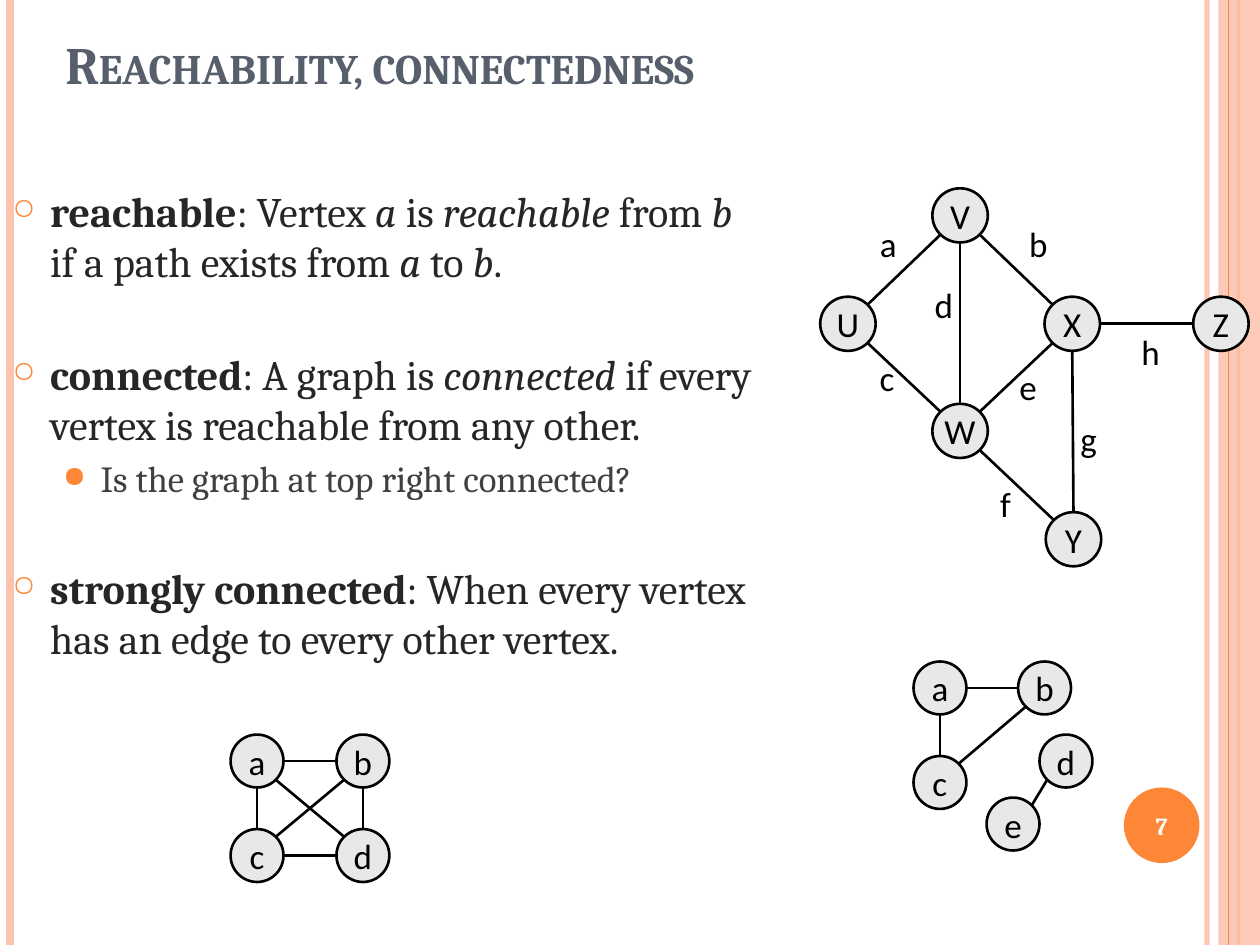
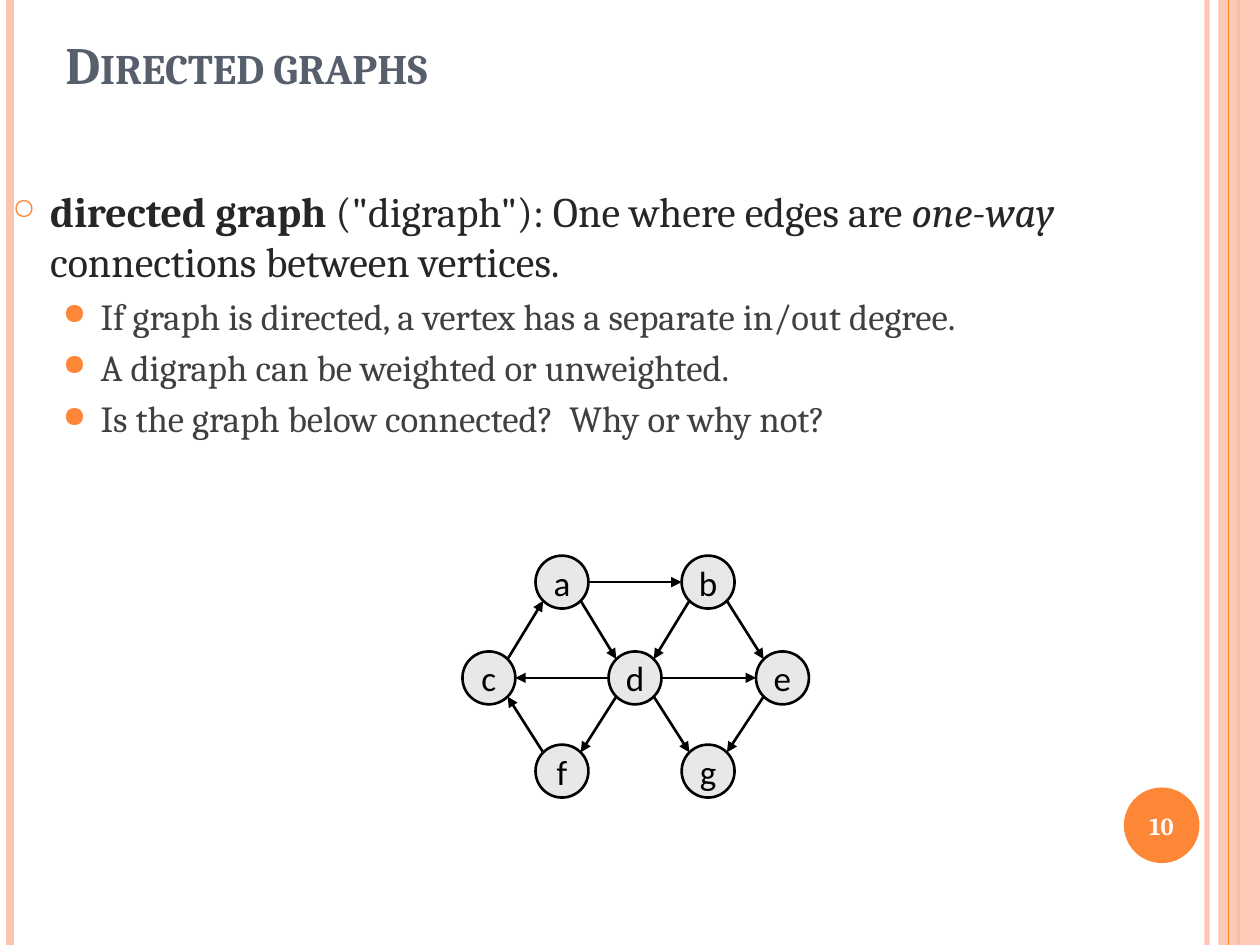
from pptx import Presentation
from pptx import util as u
from pptx.dml.color import RGBColor
from pptx.enum import shapes, text
from pptx.oxml import parse_xml
from pptx.oxml.ns import nsdecls, qn
from lxml import etree

COLORS = {"orange": "FE8637", "peach": "FEC3AE", "title": "575F6D",
          "body": "262626", "detail": "404040", "node": "E8E8E8",
          "black": "000000", "white": "FFFFFF"}
SERIF, SANS = "Cambria", "Calibri"
WIDTH, HEIGHT = 10, 7.5

BANDS = [(9.58, "peach", 3, 93), (0.08, "peach", 4.5, None), (9.83, "orange", 1.5, None)]
STRIPE_LINE = (9.75, "orange", 0.75, None)

LEVELS = [
    {"margin": 0.3, "size": 24, "color": "body", "before": 6, "char": "○", "percent": 70},
    {"margin": 0.7, "size": 21, "color": "detail", "before": 4.2, "char": "●", "percent": 80},
]
SECTION_GAP = 35.5

SLIDES = [
    {"title": "Reachability, connectedness", "number": 7,
     "body": [
         (0, None, [("reachable", "b"), (": Vertex ", ""), ("a", "i"), (" is ", ""),
                    ("reachable ", "i"), ("from ", ""), ("b\n", "i"),
                    ("if a path exists from ", ""), ("a", "i"), (" to ", ""),
                    ("b", "i"), (".", "")]),
         (0, SECTION_GAP, [("connected", "b"), (": A graph is ", ""), ("connected", "i"),
                           (" if every\nvertex is reachable from any other.", "")]),
         (1, None, [("Is the graph at top right connected?", "")]),
         (0, SECTION_GAP, [("strongly connected", "b"),
                           (": When every vertex\nhas an edge to every other vertex.", "")]),
     ],
     "graphs": [
         {"size": (0.44, 0.43), "grouped": True, "directed": False,
          "nodes": {"X": (8.51, 2.57), "U": (6.73, 2.57), "V": (7.62, 1.71),
                    "W": (7.62, 3.42), "Z": (9.69, 2.57), "Y": (8.52, 4.28)},
          "edges": "VU WU WX XZ VX VW WY XY",
          "labels": {"a": (7.05, 1.93), "c": (7.04, 3.0), "b": (8.24, 1.93),
                     "e": (8.16, 3.07), "d": (7.49, 2.42), "f": (7.98, 4.0),
                     "g": (8.64, 3.48), "h": (9.13, 2.79)}},
         {"size": (0.42, 0.42), "grouped": False, "directed": False,
          "nodes": {"a": (2.04, 6.04), "c": (2.04, 6.79),
                    "b": (2.88, 6.04), "d": (2.88, 6.79)},
          "edges": "ac cd db cb ad ab", "labels": {}},
         {"size": (0.42, 0.42), "grouped": True, "directed": False,
          "nodes": {"a": (7.46, 5.46), "c": (7.46, 6.21), "b": (8.29, 5.46),
                    "d": (8.46, 6.04), "e": (8.04, 6.54)},
          "edges": "ac ed cb ab", "labels": {}},
     ]},
    {"title": "Directed graphs", "number": 10,
     "body": [
         (0, None, [("directed graph ", "b"), ('("digraph"): One where edges are ', ""),
                    ("one-way", "i"), (" connections between vertices.", "")]),
         (1, None, [("If graph is directed, a vertex has a separate in/out degree.", "")]),
         (1, None, [("A digraph can be weighted or unweighted.", "")]),
         (1, None, [("Is the graph below connected?  Why or why not?", "")]),
     ],
     "graphs": [
         {"size": (0.42, 0.42), "grouped": True, "directed": True,
          "nodes": {"a": (4.46, 4.62), "d": (5.04, 5.38), "b": (5.62, 4.62),
                    "e": (6.21, 5.38), "g": (5.62, 6.12), "f": (4.46, 6.12),
                    "c": (3.88, 5.38)},
          "edges": "ca ab ad bd be de dg eg df fc dc", "labels": {}},
     ]},
]


def rgb(name):
    return RGBColor.from_string(COLORS[name])


def inches(*values):
    return [u.Inches(v) for v in values]


def set_alpha(fill_owner, percent):
    clr = next(fill_owner.iter(qn("a:srgbClr")))
    etree.SubElement(clr, qn("a:alpha")).set("val", str(percent * 1000))


def style_run(r, font, size, color, bold=False, italic=False):
    r.font.name, r.font.size = font, u.Pt(size)
    r.font.bold, r.font.italic = bold, italic
    r.font.color.rgb = rgb(color)


def add_line(parent, start, end, color="black", width=1.5, arrow=False):
    c = parent.add_connector(shapes.MSO_CONNECTOR.STRAIGHT, *inches(*start, *end))
    c.line.color.rgb, c.line.width = rgb(color), u.Pt(width)
    if arrow:
        etree.SubElement(c.line._get_or_add_ln(), qn("a:tailEnd")).set("type", "triangle")
    sp_pr = c._element.spPr
    etree.SubElement(sp_pr, qn("a:effectLst"))
    return c


def add_shape(parent, kind, box, fill, line=None):
    sp = parent.add_shape(kind, *inches(*box))
    sp.shadow.inherit = False
    sp.fill.solid()
    sp.fill.fore_color.rgb = rgb(fill)
    if line:
        sp.line.color.rgb, sp.line.width = rgb(line), u.Pt(1.5)
    else:
        sp.line.fill.background()
    return sp


def put_centred(sp, words, font, size, color, bold=False):
    tf = sp.text_frame
    tf.word_wrap = False
    tf.vertical_anchor = text.MSO_ANCHOR.MIDDLE
    tf.text = words
    p = tf.paragraphs[0]
    p.alignment = text.PP_ALIGN.CENTER
    style_run(p.runs[0], font, size, color, bold)


def centred_box(centre, size):
    return [c - d / 2 for c, d in zip(centre, size)] + list(size)


def add_band(s, x, color, width, alpha):
    c = add_line(s.shapes, (x, 0), (x, HEIGHT), color, width)
    if alpha:
        set_alpha(c._element.spPr, alpha)


def add_frame(s, number):
    for band in BANDS:
        add_band(s, *band)
    stripe = add_shape(s.shapes, shapes.MSO_SHAPE.RECTANGLE, (9.67, 0, 0.33, HEIGHT), "peach")
    set_alpha(stripe._element.spPr, 87)
    add_band(s, *STRIPE_LINE)
    badge = add_shape(s.shapes, shapes.MSO_SHAPE.OVAL, (8.92, 6.25, 0.6, 0.6), "orange")
    put_centred(badge, str(number), SERIF, 14, "white", True)


def add_title(s, words):
    tf = s.shapes.add_textbox(*inches(0.42, 0.08, 8.17, 0.72)).text_frame
    tf.word_wrap = True
    tf.vertical_anchor = text.MSO_ANCHOR.BOTTOM
    tf.text = words
    r = tf.paragraphs[0].runs[0]
    style_run(r, SERIF, 30, "title", True)
    r._r.get_or_add_rPr().set("cap", "small")


def add_bullet(p, level):
    p_pr = p._p.get_or_add_pPr()
    p_pr.set("marL", str(u.Inches(level["margin"])))
    p_pr.set("indent", str(u.Inches(-0.3)))
    for xml in (f'<a:buClr {nsdecls("a")}><a:srgbClr val="{COLORS["orange"]}"/></a:buClr>',
                f'<a:buSzPct {nsdecls("a")} val="{level["percent"] * 1000}"/>',
                f'<a:buChar {nsdecls("a")} char="{level["char"]}"/>'):
        p_pr.append(parse_xml(xml))


def add_body(s, paragraphs):
    tf = s.shapes.add_textbox(*inches(0, 1.42, WIDTH, 6.08)).text_frame
    tf.word_wrap = True
    for i, (depth, gap, runs) in enumerate(paragraphs):
        level = LEVELS[depth]
        p = tf.add_paragraph() if i else tf.paragraphs[0]
        p.level = depth
        add_bullet(p, level)
        p.space_before = u.Pt((gap or level["before"]) if i else 0)
        for words, style in runs:
            for n, part in enumerate(words.split("\n")):
                if n:
                    p.add_line_break()
                if part:
                    r = p.add_run()
                    r.text = part
                    style_run(r, SERIF, level["size"], level["color"],
                              style == "b", style == "i")


def direction(delta):
    return 0 if abs(delta) < 0.05 else (1 if delta > 0 else -1)


def rim_point(centre, other, size):
    signs = [direction(b - a) for a, b in zip(centre, other)]
    reach = 0.71 if all(signs) else 1
    return [c + sign * reach * d / 2 for c, sign, d in zip(centre, signs, size)]


def add_graph(s, graph):
    parent = s.shapes.add_group_shape().shapes if graph["grouped"] else s.shapes
    nodes, size = graph["nodes"], graph["size"]
    for name, centre in nodes.items():
        sp = add_shape(parent, shapes.MSO_SHAPE.OVAL, centred_box(centre, size), "node", "black")
        put_centred(sp, name, SANS, 20, "black")
    for a, b in graph["edges"].split():
        add_line(parent, rim_point(nodes[a], nodes[b], size),
                 rim_point(nodes[b], nodes[a], size), arrow=graph["directed"])
    for name, centre in graph["labels"].items():
        label = parent.add_textbox(*inches(*centred_box(centre, (0.34, 0.43))))
        put_centred(label, name, SANS, 20, "black")


def main():
    prs = Presentation()
    prs.slide_width, prs.slide_height = inches(WIDTH, HEIGHT)
    for content in SLIDES:
        s = prs.slides.add_slide(prs.slide_layouts[6])
        add_frame(s, content["number"])
        add_title(s, content["title"])
        add_body(s, content["body"])
        for graph in content["graphs"]:
            add_graph(s, graph)
    prs.save("out.pptx")


if __name__ == "__main__":
    main()
